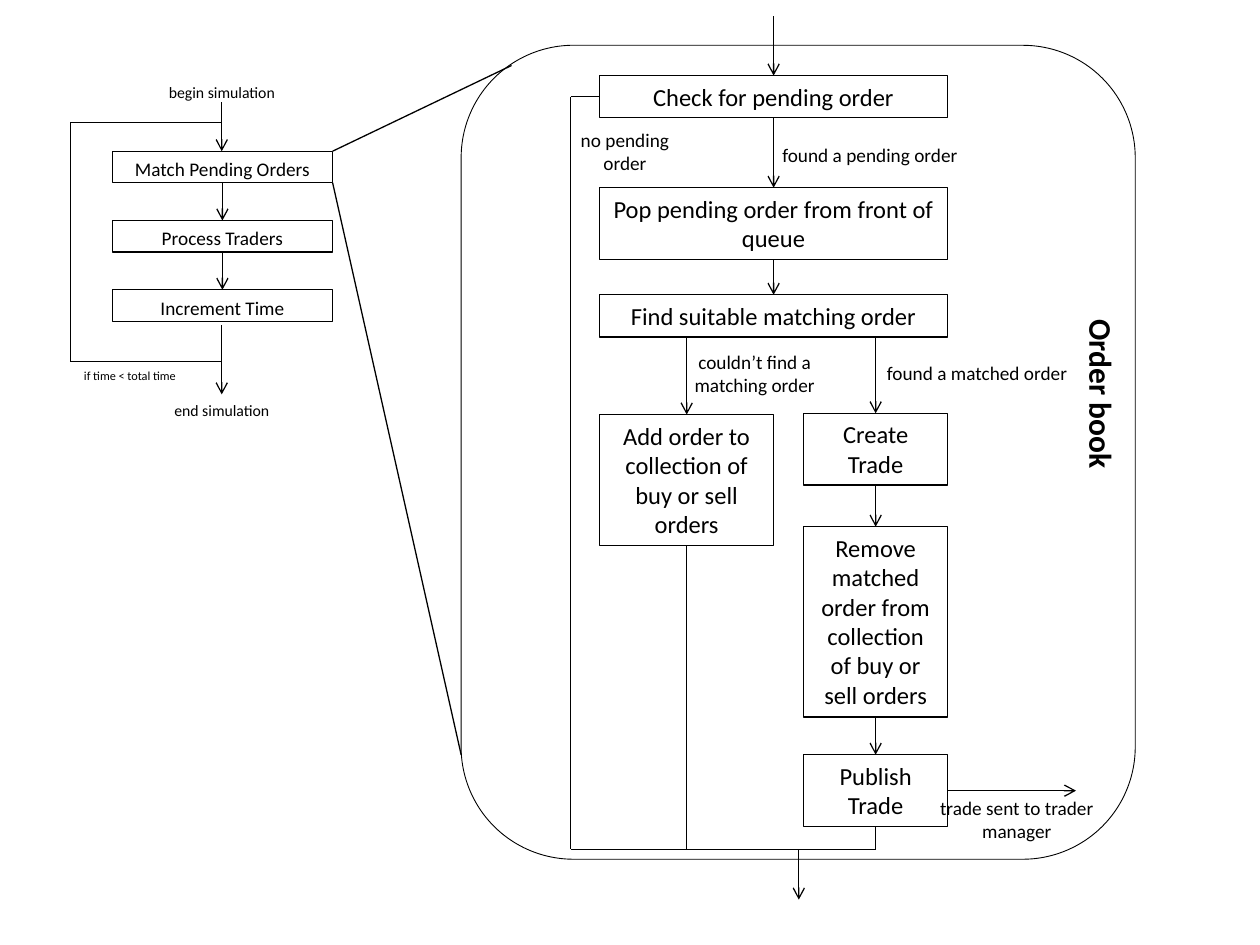
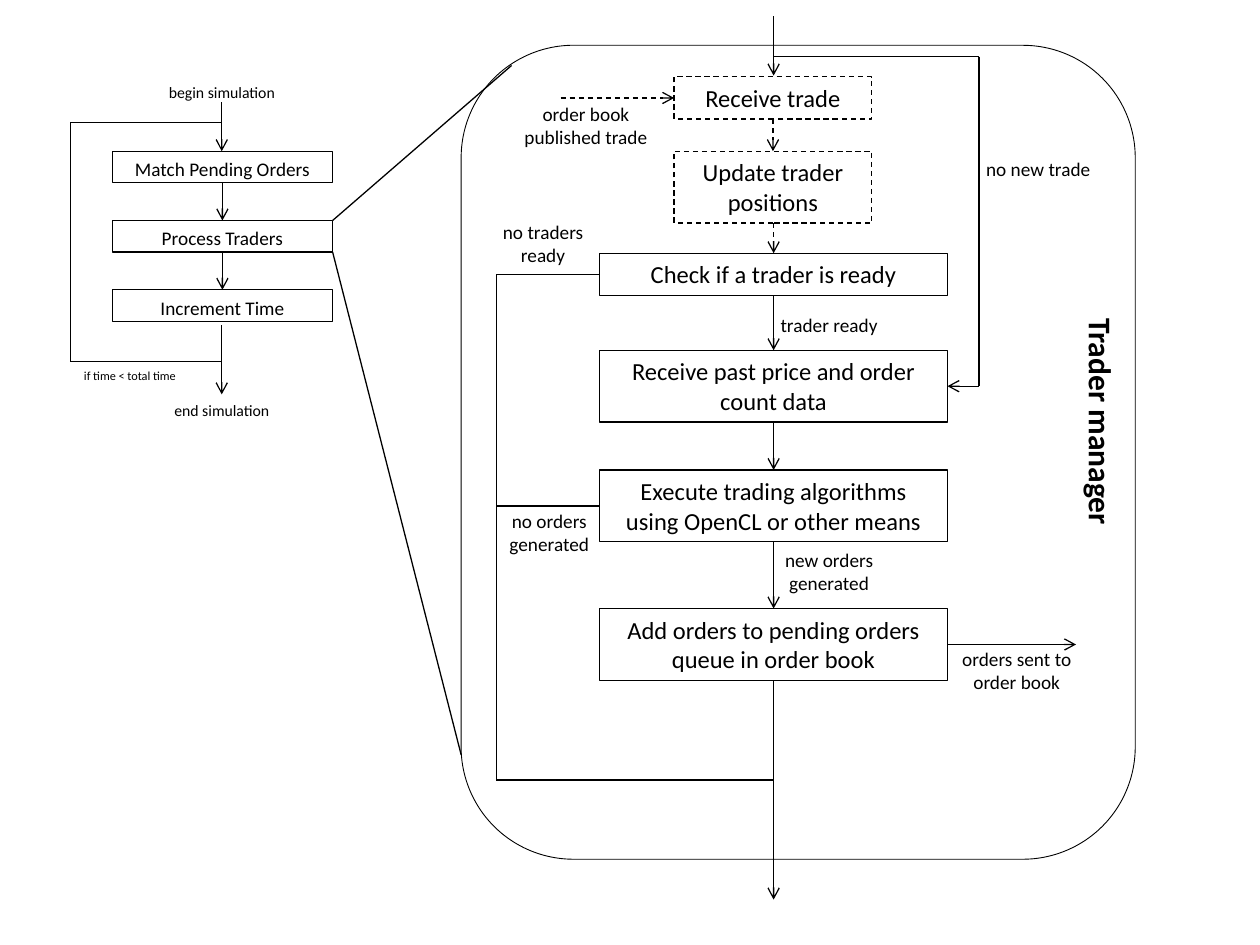
from dataclasses import dataclass

from lxml import etree
from pptx import Presentation
from pptx.dml.color import RGBColor
from pptx.enum import dml, shapes, text
from pptx.oxml import ns
from pptx.util import Inches, Pt


@dataclass(frozen=True)
class Theme:
    ink: RGBColor = RGBColor(0, 0, 0)
    font: str = "Calibri"
    title_size: int = 18
    step_size: int = 14
    label_size: int = 11
    end_size: int = 9
    condition_size: int = 7
    line_weight: float = 0.75
    frame_weight: float = 0.5


THEME = Theme()

# Axes shared by the flows, in inches
LOOP_X, LOOP_AXIS = 0.56, 1.76
LOOP_TOP, LOOP_BOTTOM = 0.97, 2.87
STAGES = ["Match Pending Orders", "Process Traders", "Increment Time"]
STAGE_TOP, STAGE_PITCH, STAGE_HEIGHT = 1.2, 0.55, 0.25
WIDE_LEFT, WIDE_WIDTH = 4.76, 2.76
WIDE_RIGHT = WIDE_LEFT + WIDE_WIDTH
MAIN_AXIS = WIDE_LEFT + WIDE_WIDTH / 2
ENTRY_Y, EXIT_Y = 0.13, 7.14
OUTPUT_X = 8.54


def apply_format(target, values):
    for name, value in values.items():
        setattr(target, name, value)


def text_height(lines, size):
    return 0.1 + lines * size * 1.21 / 72


def write(shape, wording, size, align=text.PP_ALIGN.CENTER, bold=False):
    apply_format(shape.text_frame, {
        "word_wrap": True,
        "auto_size": text.MSO_AUTO_SIZE.NONE,
        "vertical_anchor": text.MSO_ANCHOR.TOP,
    })
    paragraph = shape.text_frame.paragraphs[0]
    paragraph.text = wording
    paragraph.alignment = align
    apply_format(paragraph.font,
                 {"name": THEME.font, "size": Pt(size), "bold": bold})
    paragraph.font.color.rgb = THEME.ink


def draw_line(line, weight=THEME.line_weight, dashed=False):
    line.color.rgb = THEME.ink
    line.width = Pt(weight)
    if dashed:
        line.dash_style = dml.MSO_LINE.DASH


def outline(canvas, preset, left, top, width, height, **line_format):
    shape = canvas.add_shape(preset, Inches(left), Inches(top),
                             Inches(width), Inches(height))
    shape.shadow.inherit = False
    shape.fill.background()
    draw_line(shape.line, **line_format)
    return shape


def step(canvas, wording, top, lines=1, left=WIDE_LEFT, width=WIDE_WIDTH,
         size=THEME.step_size, height=None, dashed=False):
    shape = outline(canvas, shapes.MSO_SHAPE.RECTANGLE, left, top, width,
                    height or text_height(lines, size), dashed=dashed)
    write(shape, wording, size)
    return shape


def label(canvas, wording, left, top, width, lines=1, size=THEME.label_size):
    box = canvas.add_textbox(Inches(left), Inches(top), Inches(width),
                             Inches(text_height(lines, size)))
    write(box, wording, size)


def route(canvas, *points, arrow=False, dashed=False):
    """Join the points with straight legs; the last one may carry an arrow."""
    for start, end in zip(points, points[1:]):
        leg = canvas.add_connector(shapes.MSO_CONNECTOR.STRAIGHT,
                                   *(Inches(v) for v in (*start, *end)))
        draw_line(leg.line, dashed=dashed)
        properties = leg._element.spPr
        etree.SubElement(properties, ns.qn("a:effectLst"))
        if arrow and end == points[-1]:
            etree.SubElement(properties.find(ns.qn("a:ln")),
                             ns.qn("a:tailEnd"), type="arrow")


def bottom(shape):
    return (shape.top + shape.height) / Inches(1)


def middle(shape):
    return (shape.top + shape.height / 2) / Inches(1)


def center(shape):
    return (shape.left + shape.width / 2) / Inches(1)


def link_down(canvas, upper, lower, dashed=False):
    x = center(lower)
    route(canvas, (x, bottom(upper)), (x, lower.top.inches),
          arrow=True, dashed=dashed)


def simulation_loop(slide):
    loop = slide.shapes.add_group_shape().shapes
    stages = [step(loop, name, STAGE_TOP + i * STAGE_PITCH, left=0.89,
                   width=1.75, size=THEME.label_size, height=STAGE_HEIGHT)
              for i, name in enumerate(STAGES)]
    for upper, lower in zip(stages, stages[1:]):
        link_down(loop, upper, lower)
    # Way back to the first stage, and the ways in and out
    route(loop, (LOOP_AXIS, 2.58), (LOOP_AXIS, LOOP_BOTTOM),
          (LOOP_X, LOOP_BOTTOM), (LOOP_X, LOOP_TOP), (LOOP_AXIS, LOOP_TOP),
          (LOOP_AXIS, STAGE_TOP), arrow=True)
    route(loop, (LOOP_AXIS, LOOP_TOP), (LOOP_AXIS, 0.81))
    route(loop, (LOOP_AXIS, LOOP_BOTTOM), (LOOP_AXIS, 3.13), arrow=True)
    label(loop, "begin simulation", 1.05, 0.61, 1.42, size=THEME.end_size)
    label(loop, "end simulation", 1.05, 3.13, 1.42, size=THEME.end_size)
    label(loop, "if time < total time", 0.32, LOOP_BOTTOM, 1.42,
          size=THEME.condition_size)


def detail_frame(slide, title, title_at, stage):
    """Draw the loop, the frame that enlarges one stage, and its entry."""
    canvas = slide.shapes
    outline(canvas, shapes.MSO_SHAPE.ROUNDED_RECTANGLE, 3.66, 0.36, 5.35, 6.46,
            weight=THEME.frame_weight)
    simulation_loop(slide)
    stage_top = STAGE_TOP + stage * STAGE_PITCH
    route(canvas, (2.64, stage_top), (4.06, 0.52))
    route(canvas, (2.64, stage_top + STAGE_HEIGHT), (3.66, 5.99))
    route(canvas, (MAIN_AXIS, ENTRY_Y), (MAIN_AXIS, 0.6), arrow=True)
    heading = canvas.add_textbox(*(Inches(v) for v in title_at))
    heading.rotation = 90
    write(heading, title, THEME.title_size, text.PP_ALIGN.LEFT, bold=True)


def order_book(slide):
    detail_frame(slide, "Order book", (7.94, 3.04, 1.61, 0.4), stage=0)
    canvas = slide.shapes
    trade_column = {"left": 6.38, "width": 1.14}

    # Steps
    check = step(canvas, "Check for pending order", 0.6)
    pop = step(canvas, "Pop pending order from front of queue", 1.49, 2)
    find = step(canvas, "Find suitable matching order", 2.34)
    add = step(canvas, "Add order to collection of buy or sell orders", 3.29, 4,
               width=1.38)
    create = step(canvas, "Create Trade", 3.28, 2, **trade_column)
    remove = step(canvas,
                  "Remove matched order from collection of buy or sell orders",
                  4.18, 6, **trade_column)
    publish = step(canvas, "Publish Trade", 5.99, 2, **trade_column)
    for upper, lower in [(check, pop), (pop, find), (find, add),
                         (find, create), (create, remove), (remove, publish)]:
        link_down(canvas, upper, lower)

    # Branches that meet at the exit
    merge_y, bypass_x, exit_x = 6.74, 4.53, 6.34
    trade_x = center(publish)
    route(canvas, (WIDE_LEFT, middle(check)), (bypass_x, middle(check)),
          (bypass_x, merge_y), (trade_x, merge_y))
    for branch in (add, publish):
        route(canvas, (center(branch), bottom(branch)),
              (center(branch), merge_y))
    route(canvas, (exit_x, merge_y), (exit_x, EXIT_Y), arrow=True)
    route(canvas, (WIDE_RIGHT, middle(publish)), (OUTPUT_X, middle(publish)),
          arrow=True)

    # Conditions
    label(canvas, "found a pending order", 5.88, 1.09, 2.05)
    label(canvas, "found a matched order", 6.73, 2.82, 2.05)
    label(canvas, "couldn’t find a matching order", 5.24, 2.73, 1.5, 2)
    label(canvas, "trade sent to trader manager", 7.36, 6.27, 1.42, 2)
    label(canvas, "no pending order", 4.45, 0.97, 1.02, 2)


def trader_manager(slide):
    detail_frame(slide, "Trader manager", (7.79, 3.18, 1.9, 0.4), stage=1)
    canvas = slide.shapes
    optional = {"left": 5.35, "width": 1.57, "dashed": True}

    # Steps
    receive = step(canvas, "Receive trade", 0.61, **optional)
    update = step(canvas, "Update trader positions", 1.2, 2, **optional)
    ready = step(canvas, "Check if a trader is ready", 2.01)
    prices = step(canvas, "Receive past price and order count data", 2.78, 2)
    execute = step(canvas,
                   "Execute trading algorithms using OpenCL or other means",
                   3.73, 2)
    queue = step(canvas, "Add orders to pending orders queue in order book",
                 4.83, 2)
    link_down(canvas, receive, update, dashed=True)
    link_down(canvas, update, ready, dashed=True)
    for upper, lower in [(ready, prices), (prices, execute), (execute, queue)]:
        link_down(canvas, upper, lower)

    # Trade input, bypass and order output
    route(canvas, (4.45, middle(receive)), (5.35, middle(receive)),
          arrow=True, dashed=True)
    skip_x, skip_y = 7.77, 0.45
    route(canvas, (MAIN_AXIS, skip_y), (skip_x, skip_y),
          (skip_x, middle(prices)), (WIDE_RIGHT, middle(prices)), arrow=True)
    route(canvas, (WIDE_RIGHT, middle(queue)), (OUTPUT_X, middle(queue)),
          arrow=True)

    # Early ends that join the exit
    return_x, merge_y = 3.94, 6.19
    route(canvas, (MAIN_AXIS, bottom(queue)), (MAIN_AXIS, EXIT_Y), arrow=True)
    route(canvas, (WIDE_LEFT, middle(ready)), (return_x, middle(ready)),
          (return_x, merge_y), (MAIN_AXIS, merge_y))
    route(canvas, (WIDE_LEFT, middle(execute)), (return_x, middle(execute)))

    # Conditions
    label(canvas, "order book published trade", 3.94, 0.76, 1.42, 2)
    label(canvas, "no new trade", 7.53, 1.2, 1.42)
    label(canvas, "trader ready", 5.87, 2.44, 1.42)
    label(canvas, "new orders generated", 5.87, 4.3, 1.42, 2)
    label(canvas, "orders sent to order book", 7.36, 5.09, 1.42, 2)
    label(canvas, "no traders ready", 3.82, 1.7, 0.98, 2)
    label(canvas, "no orders generated", 3.74, 3.99, 1.24, 2)


def main():
    deck = Presentation()
    apply_format(deck, {"slide_width": Inches(10), "slide_height": Inches(7.5)})
    blank = deck.slide_layouts[6]
    for build in (order_book, trader_manager):
        build(deck.slides.add_slide(blank))
    deck.save("out.pptx")


if __name__ == "__main__":
    main()
